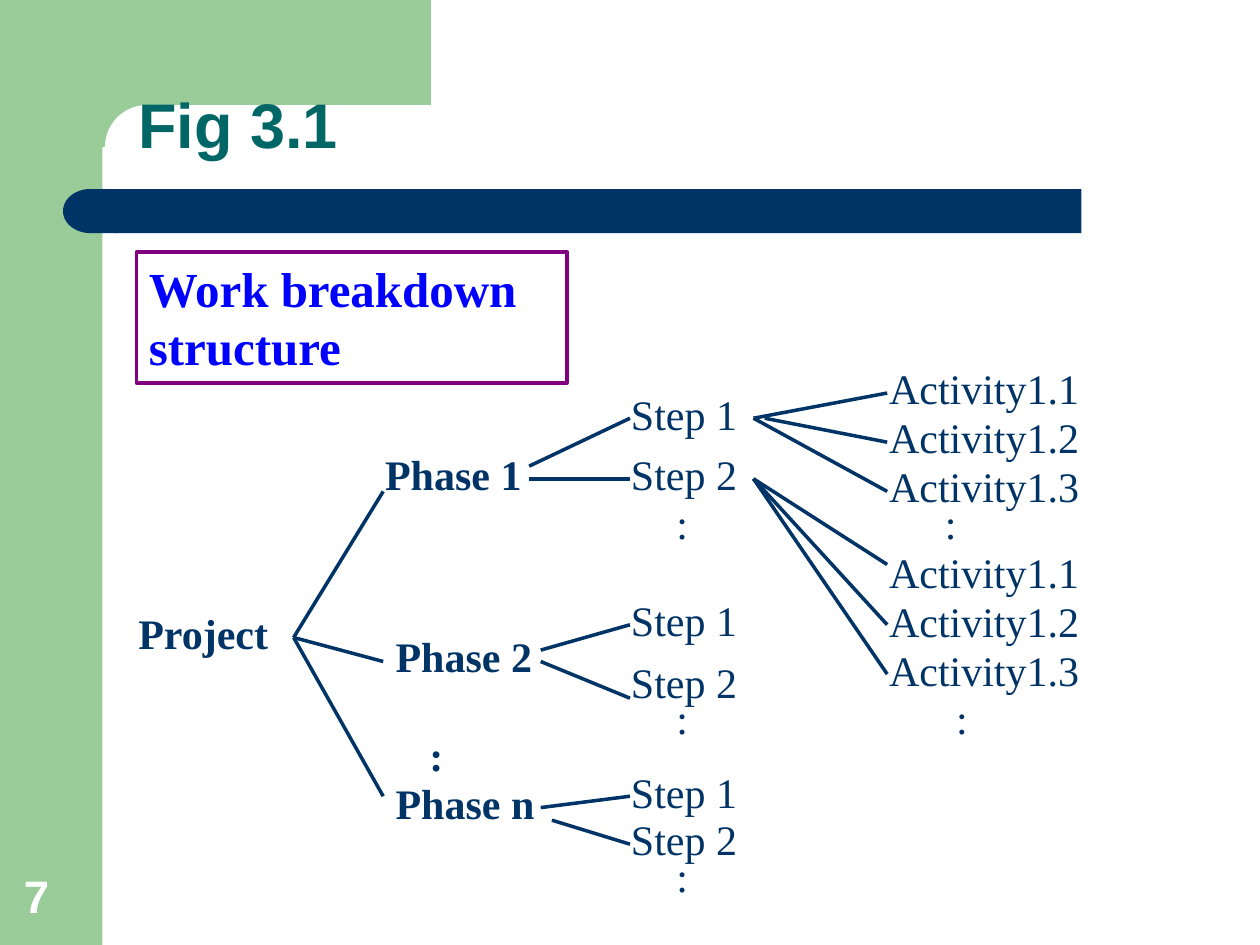
from typing import NamedTuple

from lxml.etree import SubElement
from pptx import Presentation
from pptx.dml.color import RGBColor
from pptx.enum.shapes import MSO_CONNECTOR, MSO_SHAPE
from pptx.enum.text import MSO_ANCHOR, PP_ALIGN
from pptx.oxml.ns import qn
from pptx.util import Pt

NAVY = RGBColor(0x00, 0x33, 0x66)
GREEN = RGBColor(0x99, 0xCC, 0x99)
TEAL = RGBColor(0x00, 0x66, 0x66)
BLUE = RGBColor(0x00, 0x00, 0xFF)
PURPLE = RGBColor(0x80, 0x00, 0x80)
WHITE = RGBColor(0xFF, 0xFF, 0xFF)

SANS, SERIF = "Arial", "Times New Roman"
TITLE = {"name": SANS, "size": Pt(36), "bold": True}
NUMBER = {"name": SANS, "size": Pt(26), "bold": True}
HEADING = {"name": SERIF, "size": Pt(28), "bold": True}
STRONG = {"name": SERIF, "size": Pt(24), "bold": True}
PLAIN = {"name": SERIF, "size": Pt(24), "bold": False}


class Box(NamedTuple):
    left: float
    top: float
    width: float
    height: float


class Column(NamedTuple):
    left: float
    width: float
    style: dict
    labels: list[tuple[str, float]]


class Fan(NamedTuple):
    start: tuple[float, float]
    end_x: float
    end_ys: list[float]


def points(values) -> list:
    return [Pt(v) for v in values]


def add_block(s, kind, box: Box, color: RGBColor):
    sp = s.shapes.add_shape(kind, *points(box))
    sp.shadow.inherit = False
    sp.fill.solid()
    sp.fill.fore_color.rgb = color
    sp.line.fill.background()
    return sp


def write(sp, text: str, style: dict, color: RGBColor, anchor=MSO_ANCHOR.TOP):
    tf = sp.text_frame
    tf.word_wrap = True
    tf.vertical_anchor = anchor
    p = tf.paragraphs[0]
    p.alignment = PP_ALIGN.LEFT
    r = p.add_run()
    r.text = text
    for name, value in style.items():
        setattr(r.font, name, value)
    r.font.color.rgb = color
    return p


def add_text(s, box: Box, text: str, style: dict, color=NAVY, anchor=MSO_ANCHOR.TOP):
    return write(s.shapes.add_textbox(*points(box)), text, style, color, anchor)


def add_fan(s, fan: Fan) -> None:
    for y in fan.end_ys:
        line = s.shapes.add_connector(
            MSO_CONNECTOR.STRAIGHT, *points((*fan.start, fan.end_x, y)))
        line.line.color.rgb = NAVY
        line.line.width = Pt(2)
        SubElement(line._element.spPr, qn("a:effectLst"))


def activities(top: float) -> list[tuple[str, float]]:
    return [(f"Activity1.{i + 1}", top + 28 * i) for i in range(3)]


def steps(*tops: float) -> list[tuple[str, float]]:
    return [(f"Step {i}", top) for i, top in enumerate(tops, 1)]


COLUMNS = [
    Column(72, 122, STRONG, [("Project", 343.4)]),
    Column(213, 147, STRONG, [("Phase 1", 252.7)]),
    Column(219, 147, STRONG, [("Phase 2", 357), ("Phase n", 440.6)]),
    Column(353.5, 122, PLAIN,
           steps(218.2, 252.7) + steps(336.2, 371.5) + steps(434.2, 461.5)),
    Column(501, 147, PLAIN, activities(203.8) + activities(308.9)),
    # Continuation dots
    Column(238.3, 45, STRONG, [(":", 413.3)]),
    Column(379.4, 45, PLAIN, [(":", 280.8), (":", 392.4), (":", 482.4)]),
    Column(532.8, 45, PLAIN, [(":", 280.8)]),
    Column(539.3, 45, PLAIN, [(":", 392.4)]),
]

FANS = [
    # Project to phases
    Fan((167.8, 364.3), 219, [280.8, 378, 455]),
    # Phases to steps
    Fan((302.4, 266.4), 360, [239]),
    Fan((302.4, 273.6), 360, [273.6]),
    Fan((309, 371.5), 360, [357]),
    Fan((309, 378), 360, [399]),
    Fan((309, 461.5), 360, [455]),
    Fan((315.4, 468.7), 360, [482.4]),
    # Steps to activities
    Fan((430.6, 239), 507, [224.6, 280.8]),
    Fan((437, 239), 507, [252.7]),
    Fan((430.6, 273.6), 507, [322.6, 357, 385.2]),
]


def main() -> None:
    prs = Presentation()
    prs.slide_width, prs.slide_height = Pt(720), Pt(540)
    s = prs.slides.add_slide(prs.slide_layouts[6])

    # Green corner with rounded cutout
    add_block(s, MSO_SHAPE.RECTANGLE, Box(0, 0, 58.5, 540), GREEN)
    add_block(s, MSO_SHAPE.RECTANGLE, Box(52.5, 0, 193.7, 84), GREEN)
    cutout = add_block(s, MSO_SHAPE.ROUNDED_RECTANGLE, Box(60, 60, 402, 48), WHITE)
    cutout.adjustments[0] = 0.5

    # Title bar with round left end
    add_block(s, MSO_SHAPE.RECTANGLE, Box(66, 108, 552, 25.2), NAVY)
    cap = add_block(s, MSO_SHAPE.FLOWCHART_DELAY, Box(36, 108, 31, 25.2), NAVY)
    cap.rotation = 180

    # Slide number and title
    add_text(s, Box(6.5, 492, 46, 38.9), "7", NUMBER, WHITE, MSO_ANCHOR.BOTTOM)
    title = add_text(s, Box(72, 30, 630, 66), "Fig 3.1", TITLE, TEAL, MSO_ANCHOR.BOTTOM)
    title.line_spacing = 0.9

    # Breakdown tree
    for col in COLUMNS:
        for text, top in col.labels:
            add_text(s, Box(col.left, top, col.width, 36), text, col.style)
    for fan in FANS:
        add_fan(s, fan)

    # Framed heading
    frame = add_block(s, MSO_SHAPE.RECTANGLE, Box(78, 144, 246, 74.9), WHITE)
    frame.fill.background()
    frame.line.color.rgb = PURPLE
    frame.line.width = Pt(2)
    write(frame, "Work breakdown structure", HEADING, BLUE)

    prs.save("out.pptx")


if __name__ == "__main__":
    main()
